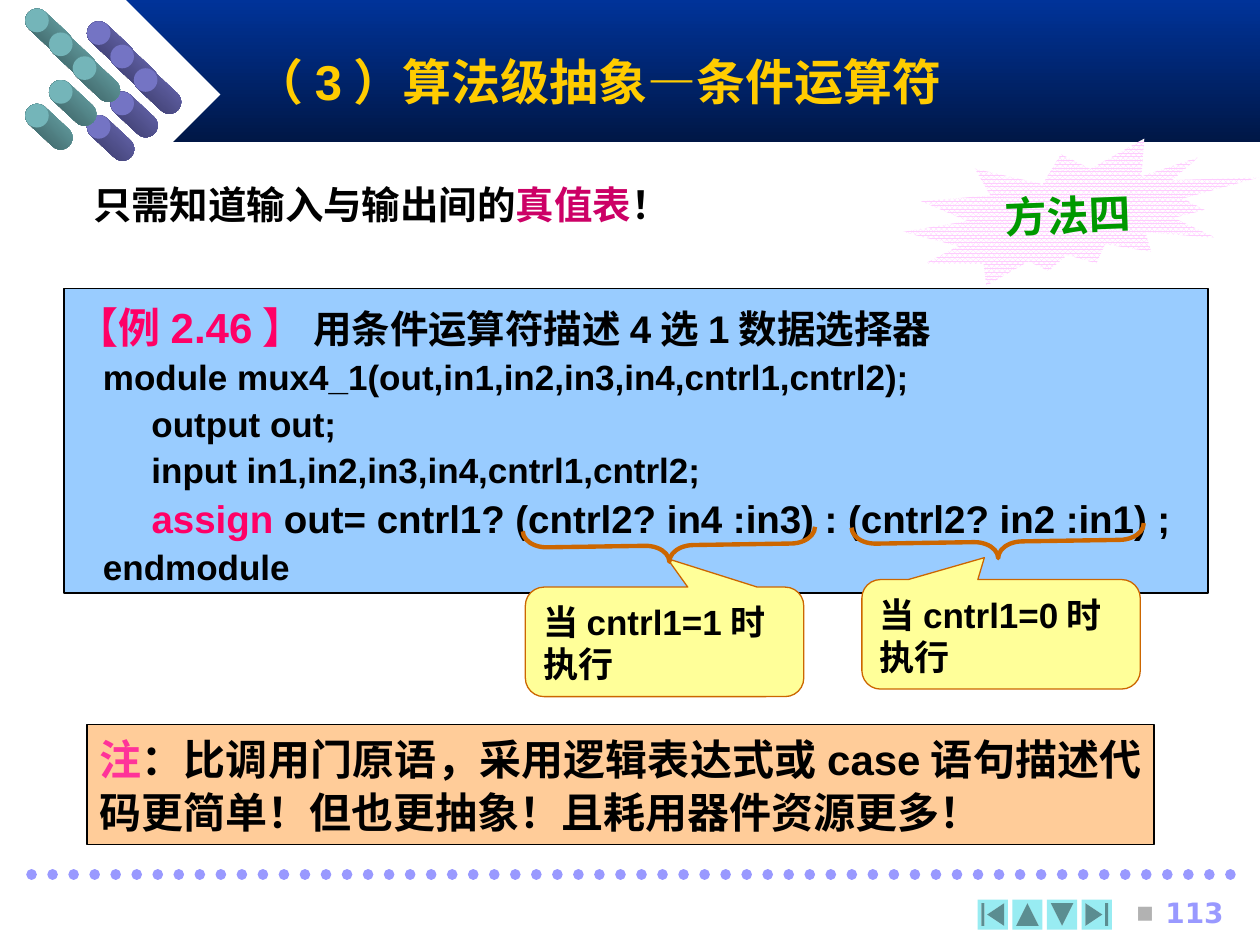
from lxml import etree
from pptx import Presentation
from pptx.dml.color import RGBColor
from pptx.enum.dml import MSO_LINE, MSO_PATTERN
from pptx.enum.shapes import MSO_CONNECTOR, MSO_SHAPE
from pptx.enum.text import MSO_ANCHOR, PP_ALIGN
from pptx.oxml.ns import qn
from pptx.util import Pt

BLACK = RGBColor(0x00, 0x00, 0x00)
WHITE = RGBColor(0xFF, 0xFF, 0xFF)
NAVY = RGBColor(0x00, 0x33, 0x99)
NAVY_DARK = RGBColor(0x00, 0x17, 0x46)
VIOLET = RGBColor(0x99, 0x99, 0xFF)
VIOLET_FACE = RGBColor(0x74, 0x74, 0xC4)
VIOLET_DARK = RGBColor(0x30, 0x30, 0x58)
AQUA = RGBColor(0x98, 0xEC, 0xF2)
AQUA_FACE = RGBColor(0x74, 0xB5, 0xB9)
AQUA_DARK = RGBColor(0x30, 0x50, 0x52)
GOLD = RGBColor(0xFF, 0xCC, 0x00)
CRIMSON = RGBColor(0xCC, 0x00, 0x66)
PINK = RGBColor(0xFF, 0x33, 0x99)
ROSE = RGBColor(0xFF, 0x00, 0x66)
PALE_PINK = RGBColor(0xFF, 0xCC, 0xFF)
GREEN = RGBColor(0x00, 0x99, 0x00)
SKY = RGBColor(0x99, 0xCC, 0xFF)
PEACH = RGBColor(0xFF, 0xCC, 0x99)
YELLOW = RGBColor(0xFF, 0xFF, 0x99)
ORANGE = RGBColor(0xCC, 0x66, 0x00)

CJK = "Noto Sans CJK SC"


def add_form(slide, kind, box, fill=None, line=None, width=0.75, rotation=0):
    form = slide.shapes.add_shape(kind, *map(Pt, box))
    form.shadow.inherit = False
    form.rotation = rotation
    if fill is None:
        form.fill.background()
    else:
        form.fill.solid()
        form.fill.fore_color.rgb = fill
    if line is None:
        form.line.fill.background()
    else:
        form.line.color.rgb = line
        form.line.width = Pt(width)
    return form


def shade(form, start, end, angle):
    form.fill.gradient()
    form.fill.gradient_angle = angle
    for stop, color in zip(form.fill.gradient_stops, (start, end)):
        stop.color.rgb = color


def write(form, paragraphs, align=PP_ALIGN.LEFT, anchor=MSO_ANCHOR.TOP,
          spacing=None, wrap=True):
    """Each paragraph is a list of (text, size, color) runs."""
    frame = form.text_frame
    frame.word_wrap = wrap
    frame.vertical_anchor = anchor
    for index, runs in enumerate(paragraphs):
        paragraph = frame.paragraphs[0] if index == 0 else frame.add_paragraph()
        paragraph.alignment = align
        paragraph.line_spacing = spacing
        for text, size, color in runs:
            run = paragraph.add_run()
            run.text = text
            run.font.name = "Arial"
            run.font.size = Pt(size)
            run.font.bold = True
            run.font.color.rgb = color
            east_asian = etree.SubElement(run.font._element, qn("a:ea"))
            east_asian.set("typeface", CJK)
    return frame


def add_text(slide, box, paragraphs, **options):
    return write(slide.shapes.add_textbox(*map(Pt, box)), paragraphs, **options)


def add_cylinders(slide, left, top, step, face, dark):
    size, reach = 13.5, 18.5
    for row, column in enumerate((0, 1, 2, 1, 0)):
        x, y = left + column * step, top + row * step
        body = add_form(slide, MSO_SHAPE.ROUNDED_RECTANGLE,
                        (x + 6.75 - reach / 2, y + 6.25, size + reach, size),
                        face, rotation=43)
        body.adjustments[0] = 0.5
        shade(body, face, dark, 270)
        add_form(slide, MSO_SHAPE.OVAL, (x, y, size, size), face)


def add_header(slide, box):
    left, top, width, height = box
    banner = add_form(slide, MSO_SHAPE.RECTANGLE,
                      (left + 72, top, width - 72, height), NAVY)
    shade(banner, NAVY, NAVY_DARK, 270)
    add_form(slide, MSO_SHAPE.DIAMOND, (left + 18, top, 108, 108), WHITE)
    add_cylinders(slide, left + 49.7, top + 12.2, 13.4, VIOLET_FACE, VIOLET_DARK)
    add_cylinders(slide, left + 14.4, top + 5, 13.6, AQUA_FACE, AQUA_DARK)
    add_text(slide, (left + 138.2, top + 22.3, 540, 48.2),
             [[("（3）算法级抽象—条件运算符", 28, GOLD)]], anchor=MSO_ANCHOR.MIDDLE)


def add_footer(slide, box):
    left, top, width, _ = box
    # Dotted rule
    rule = slide.shapes.add_connector(MSO_CONNECTOR.STRAIGHT, Pt(left), Pt(top),
                                      Pt(left + width), Pt(top))
    rule.line.color.rgb = VIOLET
    rule.line.width = Pt(6)
    rule.line.dash_style = MSO_LINE.ROUND_DOT
    properties = rule._element.spPr
    properties.find(qn("a:ln")).set("cap", "rnd")
    etree.SubElement(properties, qn("a:effectLst"))

    # Navigation buttons
    buttons = ((MSO_SHAPE.ACTION_BUTTON_BEGINNING, 0),
               (MSO_SHAPE.ACTION_BUTTON_BACK_OR_PREVIOUS, 90),
               (MSO_SHAPE.ACTION_BUTTON_FORWARD_OR_NEXT, 90),
               (MSO_SHAPE.ACTION_BUTTON_END, 0))
    for index, (kind, rotation) in enumerate(buttons):
        add_form(slide, kind, (left + 540.7 + index * 19.8, top + 14.3, 17.2, 17.2),
                 AQUA, rotation=rotation)

    # Page number with its square bullet
    frame = add_text(slide, (left + 619.9, top + 8.6, 68.4, 23.8),
                     [[("113", 16, VIOLET)]], align=PP_ALIGN.RIGHT)
    number = frame.paragraphs[0]
    number.runs[0].font.name = "DejaVu Sans"
    indent = number._p.get_or_add_pPr()
    indent.set("marL", str(Pt(17)))
    indent.set("indent", str(-Pt(17)))
    bullet_color = etree.SubElement(indent, qn("a:buClr"))
    etree.SubElement(bullet_color, qn("a:srgbClr")).set("val", "B2B2B2")
    etree.SubElement(indent, qn("a:buFont")).set("typeface", "DejaVu Sans")
    etree.SubElement(indent, qn("a:buChar")).set("char", "▪")


def add_code_panel(slide, box):
    panel = add_form(slide, MSO_SHAPE.RECTANGLE, box, SKY, BLACK, 1)
    heading = [("【例2.46】", 24, ROSE), (" 用条件运算符描述4选1数据选择器", 22, BLACK)]
    code = [
        [("module mux4_1(out,in1,in2,in3,in4,cntrl1,cntrl2);", 20, BLACK)],
        [("     output out;", 20, BLACK)],
        [("     input in1,in2,in3,in4,cntrl1,cntrl2;", 20, BLACK)],
        [("     ", 20, BLACK), ("assign", 22, ROSE),
         (" out= cntrl1? (cntrl2? in4 :in3) : (cntrl2? in2 :in1) ;", 22, BLACK)],
        [("endmodule", 20, BLACK)],
    ]
    frame = write(panel, [heading] + code, anchor=MSO_ANCHOR.BOTTOM, spacing=1.1)
    for line in frame.paragraphs[1:]:
        line._p.get_or_add_pPr().set("marL", str(Pt(15)))


def add_branch_note(slide, box, text, tip, brace_box):
    callout = add_form(slide, MSO_SHAPE.ROUNDED_RECTANGULAR_CALLOUT, box, YELLOW, ORANGE)
    callout.adjustments[0], callout.adjustments[1] = tip
    callout.adjustments[2] = 0.17
    write(callout, [[(text, 20, BLACK)]], anchor=MSO_ANCHOR.BOTTOM)
    brace = add_form(slide, MSO_SHAPE.RIGHT_BRACE, brace_box, None, ORANGE, 2.5, 89.1)
    brace.adjustments[0] = 0.74
    brace.adjustments[1] = 0.5


def add_remark(slide, box):
    remark = add_form(slide, MSO_SHAPE.RECTANGLE, box, PEACH, BLACK)
    write(remark, [[("注", 24, PINK),
                    ("：比调用门原语，采用逻辑表达式或case语句描述代码更简单！"
                     "但也更抽象！且耗用器件资源更多！", 24, BLACK)]],
          align=PP_ALIGN.JUSTIFY, spacing=1.05)


def add_method_burst(slide, box):
    burst = add_form(slide, MSO_SHAPE.EXPLOSION2, box, PALE_PINK, rotation=357.8)
    burst.fill.patterned()
    burst.fill.pattern = MSO_PATTERN.PERCENT_80
    burst.fill.fore_color.rgb = PALE_PINK
    burst.fill.back_color.rgb = WHITE
    frame = write(burst, [[("方法四", 24, GREEN)]], align=PP_ALIGN.CENTER,
                  anchor=MSO_ANCHOR.MIDDLE, wrap=False)
    frame.paragraphs[0].runs[0].font.name = CJK


def main():
    deck = Presentation()
    deck.slide_width, deck.slide_height = Pt(720), Pt(540)
    slide = deck.slides.add_slide(deck.slide_layouts[6])

    add_header(slide, (0, 0, 720, 81.4))
    add_footer(slide, (18, 499.7, 690, 32))
    # Lead sentence
    add_text(slide, (46.1, 97.2, 638.6, 46.8),
             [[("只需知道输入与输出间的", 22, BLACK), ("真值表", 22, CRIMSON),
               ("！", 22, BLACK)]], spacing=1.1)
    add_remark(slide, (49.7, 414, 609.8, 68.4))
    add_code_panel(slide, (36.7, 164.9, 653.8, 174.2))
    add_branch_note(slide, (300.2, 335.5, 159.1, 62.6), "当cntrl1=1时执行",
                    (0.01, -0.76), (373, 228.2, 18.7, 167))
    add_branch_note(slide, (492.5, 331.2, 159.1, 62.6), "当cntrl1=0时执行",
                    (-0.06, -0.7), (560.9, 226.1, 18.7, 167))
    add_method_burst(slide, (515.5, 80.6, 204.5, 80.6))
    deck.save("out.pptx")


if __name__ == "__main__":
    main()
